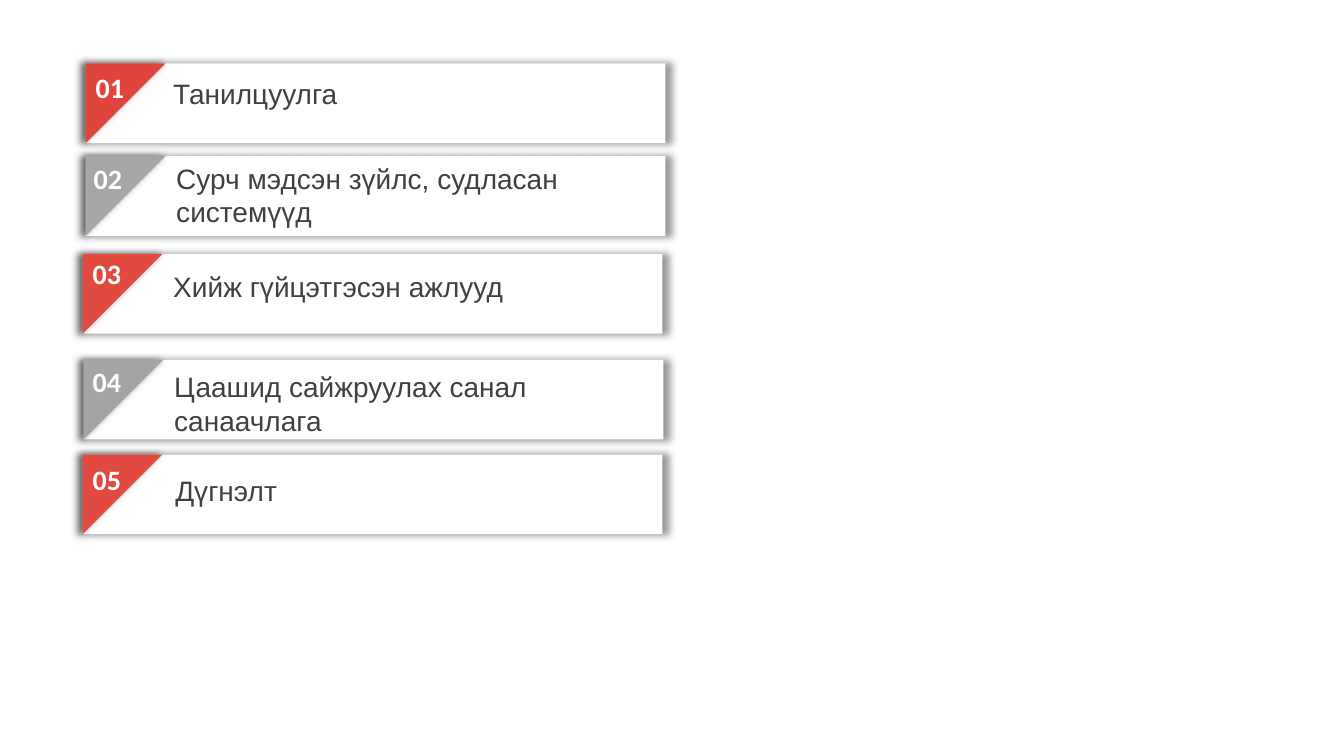
from dataclasses import dataclass

from lxml.etree import SubElement
from pptx import Presentation
from pptx.dml.color import RGBColor
from pptx.enum.shapes import MSO_SHAPE as Kind
from pptx.enum.text import MSO_AUTO_SIZE as Fit
from pptx.oxml.ns import qn
from pptx.shapes.autoshape import Shape
from pptx.shapes.shapetree import GroupShapes
from pptx.slide import Slide
from pptx.util import Emu, Pt

SCALE = 9144  # EMU per px, 100 px to the inch


@dataclass(frozen=True)
class Theme:
    card: str = "FFFFFF"
    red: str = "DF453C"
    coral: str = "E14A41"
    gray: str = "A5A5A5"
    silver: str = "A6A6A6"
    light: str = "FFFFFF"
    dark: str = "404040"
    shade: str = "000000"
    num_font: str = "Calibri"
    text_font: str = "Arial"
    size: int = 20


@dataclass(frozen=True)
class Point:
    x: int
    y: int


@dataclass(frozen=True)
class Item:
    text: str
    card: Point
    num: Point
    label: Point
    color: str
    lines: int = 1


THEME = Theme()
CARD_W, CARD_H = 575, 79
NUM_W, LABEL_W = 58, 480
LINE_H, PAD = 33, 11

ITEMS = [
    Item("Танилцуулга", Point(85, 63), Point(85, 65), Point(162, 71),
         THEME.red),
    Item("Сурч мэдсэн зүйлс, судласан системүүд", Point(85, 155),
         Point(83, 155), Point(165, 155), THEME.silver, 2),
    Item("Хийж гүйцэтгэсэн ажлууд", Point(82, 252), Point(82, 250),
         Point(162, 262), THEME.coral),
    Item("Цаашид сайжруулах санал санаачлага", Point(83, 357),
         Point(82, 357), Point(163, 362), THEME.gray, 2),
    Item("Дүгнэлт", Point(82, 451), Point(82, 454), Point(164, 465),
         THEME.coral),
]


def px(n: int) -> Emu:
    return Emu(n * SCALE)


def add_glow(shape: Shape) -> None:
    """Soft shadow spread evenly around the shape."""
    shape.shadow.inherit = False
    effects = shape.element.spPr.find(qn("a:effectLst"))
    outer = SubElement(effects, qn("a:outerShdw"), blurRad=str(Pt(5)),
                       sx="102000", sy="102000", algn="ctr",
                       rotWithShape="0")
    color = SubElement(outer, qn("a:srgbClr"), val=THEME.shade)
    SubElement(color, qn("a:alpha"), val="40000")


def add_block(shapes: GroupShapes, kind: Kind, at: Point, width: int,
              color: str) -> Shape:
    shape = shapes.add_shape(kind, px(at.x), px(at.y), px(width), px(CARD_H))
    shape.fill.solid()
    shape.fill.fore_color.rgb = RGBColor.from_string(color)
    shape.line.fill.background()
    add_glow(shape)
    return shape


def add_text(slide: Slide, text: str, at: Point, width: int, lines: int,
             face: str, color: str, bold: bool = False) -> None:
    box = slide.shapes.add_textbox(px(at.x), px(at.y), px(width),
                                   px(PAD + lines * LINE_H))
    frame = box.text_frame
    frame.word_wrap = True
    frame.auto_size = Fit.SHAPE_TO_FIT_TEXT
    frame.text = text
    font = frame.paragraphs[0].runs[0].font
    font.name, font.size, font.bold = face, Pt(THEME.size), bold
    font.color.rgb = RGBColor.from_string(color)


def add_item(slide: Slide, index: int, item: Item) -> None:
    # Card with its corner
    group = slide.shapes.add_group_shape().shapes
    add_block(group, Kind.RECTANGLE, item.card, CARD_W, THEME.card)
    corner = add_block(group, Kind.RIGHT_TRIANGLE, item.card, CARD_H,
                       item.color)
    corner.rotation = 90

    # Number and label
    add_text(slide, f"{index:02}", item.num, NUM_W, 1, THEME.num_font,
             THEME.light, True)
    add_text(slide, item.text, item.label, LABEL_W, item.lines,
             THEME.text_font, THEME.dark)


def main() -> None:
    deck = Presentation()
    deck.slide_width, deck.slide_height = px(1333), px(750)
    slide = deck.slides.add_slide(deck.slide_layouts.get_by_name("Blank"))
    for index, item in enumerate(ITEMS, 1):
        add_item(slide, index, item)
    deck.save("out.pptx")


if __name__ == "__main__":
    main()
